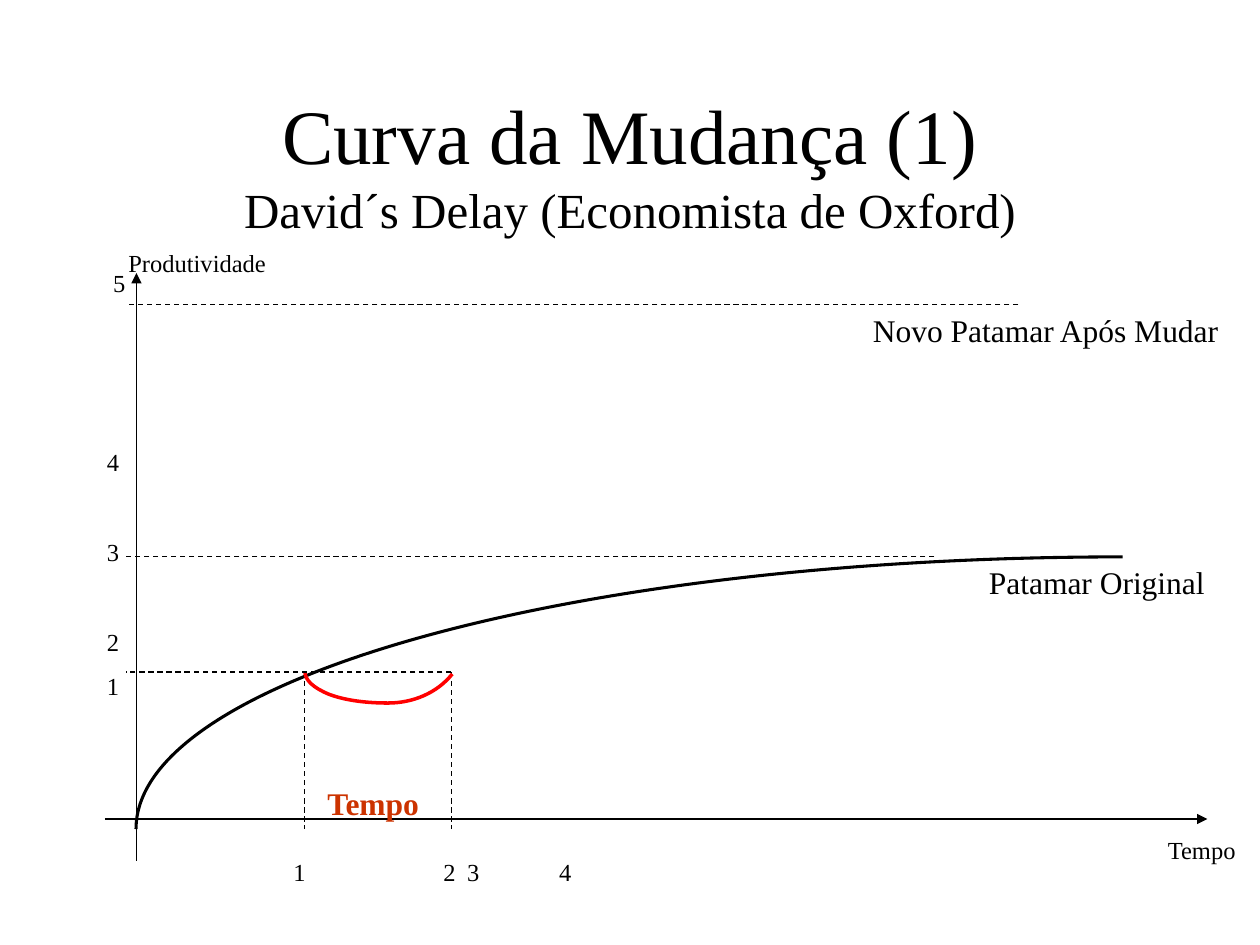
from lxml.etree import SubElement
from pptx import Presentation
from pptx.dml.color import RGBColor
from pptx.enum.dml import MSO_LINE
from pptx.enum.shapes import MSO_CONNECTOR
from pptx.enum.text import MSO_ANCHOR, MSO_AUTO_SIZE, PP_ALIGN
from pptx.oxml.ns import qn
from pptx.util import Inches, Pt

FONT = "Times New Roman"
BLACK = RGBColor(0x00, 0x00, 0x00)
RED = RGBColor(0xFF, 0x00, 0x00)
RUST = RGBColor(0xCC, 0x33, 0x00)
GRID_PER_INCH = 12
AXIS_LEFT = 12


def grid(units):
    return Inches(units / GRID_PER_INCH)


def set_title(slide, heading, subheading):
    title = slide.shapes.title
    title.left, title.top = Inches(0.75), Inches(0.67)
    title.width, title.height = Inches(8.5), Inches(1.25)
    frame = title.text_frame
    frame.auto_size = MSO_AUTO_SIZE.NONE
    frame.vertical_anchor = MSO_ANCHOR.MIDDLE
    paragraph = frame.paragraphs[0]
    paragraph.text = f"{heading}\v{subheading}"
    paragraph.alignment = PP_ALIGN.CENTER
    for run, size in zip(paragraph.runs, (44, 28)):
        format_font(run.font, size)


def format_font(font, size, color=BLACK, bold=False):
    font.name = FONT
    font.size = Pt(size)
    font.bold = bold
    font.color.rgb = color


def add_label(slide, text, left, top, width, height, size=14, color=BLACK, bold=False):
    box = slide.shapes.add_textbox(Inches(left), Inches(top), Inches(width), Inches(height))
    frame = box.text_frame
    frame.word_wrap = True
    frame.text = text
    for paragraph in frame.paragraphs:
        for run in paragraph.runs:
            format_font(run.font, size, color, bold)
    return frame


def add_productivity_scale(slide):
    frame = add_label(slide, "5\n4\n3\n2\n1", 0.75, 2.08, 0.5, 3.89)
    frame.paragraphs[0]._p.get_or_add_pPr().set("marL", str(Inches(0.05)))
    for paragraph, gap in zip(frame.paragraphs[1:], (85.5, 34.4, 34.4, 8.8)):
        paragraph.space_before = Pt(gap)


def add_time_scale(slide):
    frame = add_label(slide, "1\t2\t3\t4", 2.23, 6.75, 4.27, 0.34)
    properties = frame.paragraphs[0]._p.get_or_add_pPr()
    tab_list = SubElement(properties, qn("a:tabLst"))
    for position in (1.19, 1.38, 2.11):
        SubElement(tab_list, qn("a:tab"), pos=str(Inches(position)), algn="l")


def add_line(slide, start, end):
    connector = slide.shapes.add_connector(
        MSO_CONNECTOR.STRAIGHT, *(grid(value) for value in (*start, *end)))
    connector.line.color.rgb = BLACK
    connector.line.width = Pt(0.75)
    SubElement(connector._element.spPr, qn("a:effectLst"))
    return connector


def add_axis(slide, start, end):
    line = add_line(slide, start, end).line
    SubElement(line._get_or_add_ln(), qn("a:tailEnd"), type="triangle")


def add_guide(slide, start, end):
    add_line(slide, start, end).line.dash_style = MSO_LINE.DASH


def add_curve(slide, frame, start, segments, color, width):
    left, top, frame_width, frame_height = (Inches(value) for value in frame)
    builder = slide.shapes.build_freeform(left, top)
    builder.add_line_segments([(left + frame_width, top + frame_height)], close=False)
    shape = builder.convert_to_shape()
    outline = shape._element.spPr.find(".//" + qn("a:path"))
    outline.set("fill", "none")
    for command in list(outline):
        outline.remove(command)

    def add_command(name, points):
        command = SubElement(outline, qn(name))
        for x, y in points:
            SubElement(command, qn("a:pt"), x=str(Inches(x) - left), y=str(Inches(y) - top))

    add_command("a:moveTo", [start])
    for points in segments:
        add_command("a:cubicBezTo", points)
    shape.shadow.inherit = False
    shape.fill.background()
    shape.line.color.rgb = color
    shape.line.width = Pt(width)


def main():
    presentation = Presentation()
    presentation.slide_width, presentation.slide_height = Inches(10), Inches(7.5)
    slide = presentation.slides.add_slide(presentation.slide_layouts[5])
    set_title(slide, "Curva da Mudança (1)", "David´s Delay (Economista de Oxford)")

    add_axis(slide, (13, 82), (13, 26))
    add_axis(slide, (10, 78), (115, 78))
    add_label(slide, "Produtividade", 0.92, 1.92, 1.67, 0.34)
    add_label(slide, "Tempo", 9.17, 6.58, 0.83, 0.34)

    add_curve(slide, (1.08, 4.42, 15.84, 4.33), (8.91, 4.42),
              [((4.54, 4.42), (1.08, 5.39), (1.08, 6.58))], BLACK, 1.75)
    for x in (29, 43):
        add_guide(slide, (x, 64), (x, 79))
    add_curve(slide, (2.42, 4.25, 1.33, 1.33), (3.08, 5.58),
              [((3.28, 5.58), (3.47, 5.5), (3.59, 5.35))], RED, 2)
    add_curve(slide, (2.42, 5.08, 1.33, 0.5), (3.08, 5.58),
              [((2.91, 5.58), (2.74, 5.56), (2.61, 5.51)),
               ((2.49, 5.46), (2.42, 5.4), (2.42, 5.33))], RED, 2)
    add_guide(slide, (43, 64), (AXIS_LEFT, 64))

    add_label(slide, "Patamar Original", 7.75, 4.42, 1.92, 0.4, 18)
    add_label(slide, "Novo Patamar Após Mudar", 6.83, 2.42, 3.17, 0.4, 18)
    add_time_scale(slide)
    add_productivity_scale(slide)
    for right, y in ((89, 53), (97, 29)):
        add_guide(slide, (right, y), (AXIS_LEFT, y))
    add_label(slide, "Tempo", 2.5, 6.17, 1.08, 0.4, 18, RUST, True)
    presentation.save("out.pptx")


if __name__ == "__main__":
    main()
